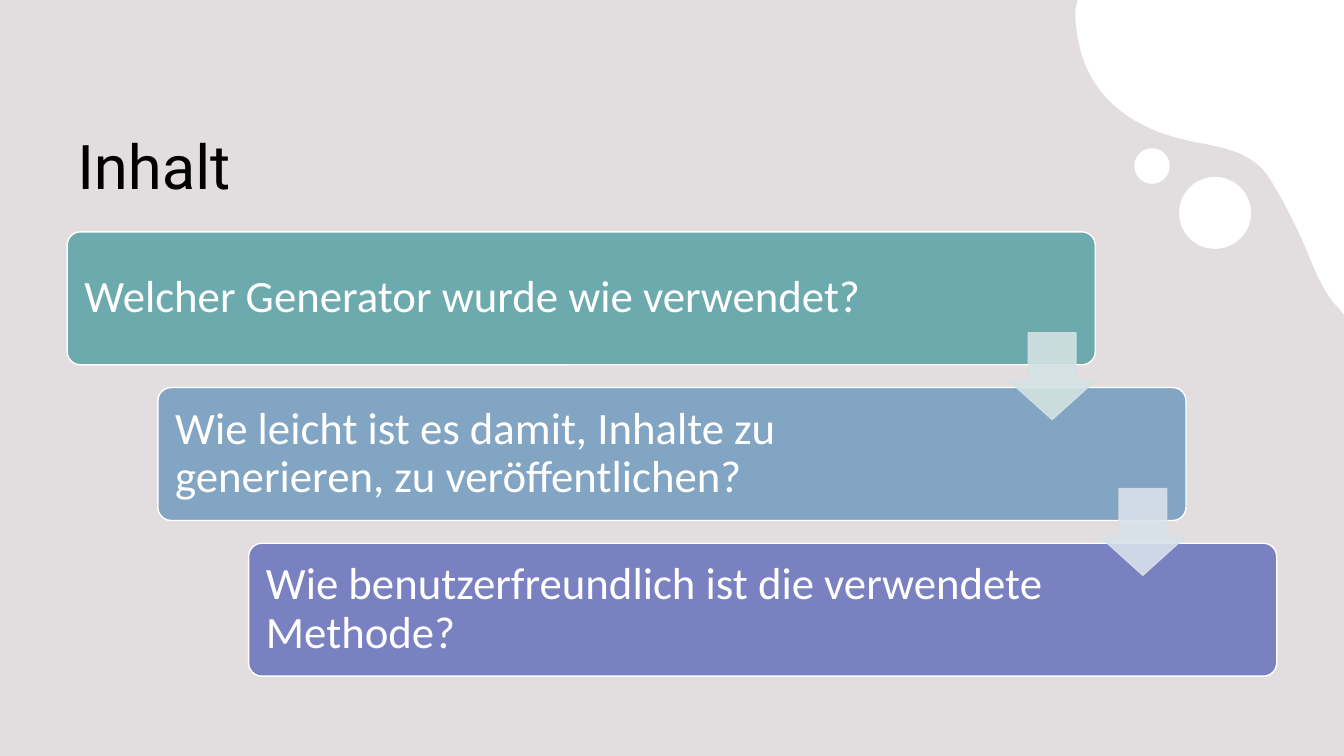
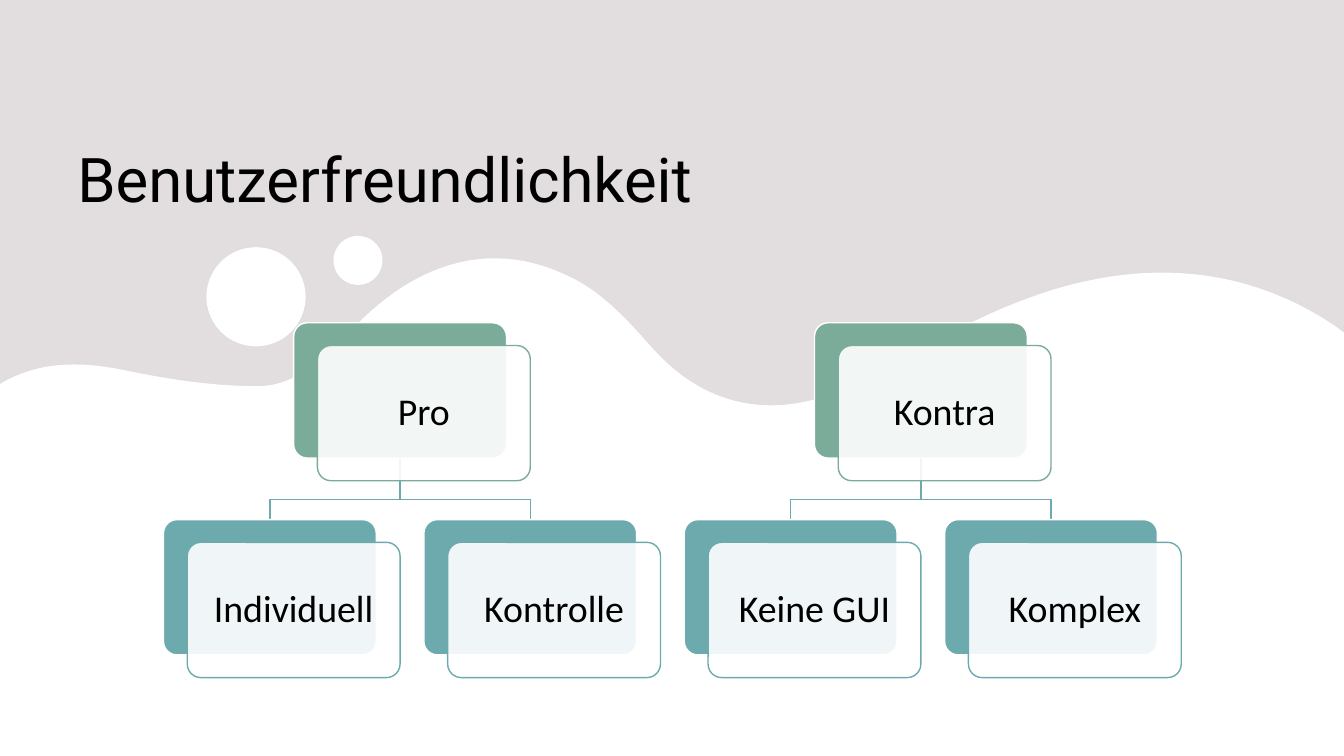
"""Build two slides: a stepped contents list and a pro and contra hierarchy."""
from pptx import Presentation
from pptx import util as u
from pptx.dml import color
from pptx.enum import shapes, text
from pptx.oxml import ns
from lxml import etree

Pt = u.Pt
SHAPE = shapes.MSO_SHAPE
COLORS = {
    "ground": "E2DDDF", "white": "FFFFFF", "black": "000000",
    "teal": "6DAAAE", "blue": "82A5C4", "violet": "7981C0", "green": "7BAC9A",
    "pale_teal": "D4E2E3", "pale_blue": "D8E1EA",
}


def write(tf, value, size, font="Calibri", fill="black", align="LEFT",
          anchor="MIDDLE", insets=(7.2, 3.6, 7.2, 3.6)):
    """Put one formatted paragraph into a text frame."""
    tf.word_wrap = True
    tf.auto_size = text.MSO_AUTO_SIZE.NONE
    tf.vertical_anchor = getattr(text.MSO_ANCHOR, anchor)
    tf.margin_left, tf.margin_top, tf.margin_right, tf.margin_bottom = map(Pt, insets)
    p = tf.paragraphs[0]
    p.alignment = getattr(text.PP_ALIGN, align)
    p.line_spacing = 0.9
    r = p.add_run()
    r.text = value
    r.font.size = Pt(size)
    r.font.name = font
    r.font.color.rgb = color.RGBColor.from_string(COLORS[fill])


def paint(sp, fill=None, line=None, alpha=None, line_alpha=None):
    """Set the fill, line and transparency of a shape and drop its shadow."""
    sp.shadow.inherit = False
    for fmt, name, opacity in ((sp.fill, fill, alpha), (sp.line.fill, line, line_alpha)):
        if name is None:
            fmt.background()
            continue
        fmt.solid()
        fmt.fore_color.rgb = color.RGBColor.from_string(COLORS[name])
        if opacity:
            parent = sp.element.spPr if fmt is sp.fill else sp.element.spPr.find(ns.qn("a:ln"))
            clr = parent.find(ns.qn("a:solidFill"))[0]
            etree.SubElement(clr, ns.qn("a:alpha"), val=str(opacity * 1000))
    if line:
        sp.line.width = Pt(1)


prs = Presentation()
prs.slide_width, prs.slide_height = Pt(960), Pt(540)
ground = prs.slide_master.background.fill
ground.solid()
ground.fore_color.rgb = color.RGBColor.from_string(COLORS["ground"])

corner_wave = [
    (960, 0), (769.7, 0), (768.2, 7.2),
    (768.2, 11.5, 768.2, 16.6, 769, 20.9),
    (774, 65.5, 805, 92.2, 853.9, 101.5),
    (873.4, 105.1, 894.9, 108.7, 906.5, 126.7),
    (918.7, 146.2, 928.8, 167, 937.4, 188.6),
    (941.8, 198.7, 946.1, 208.1, 952.6, 216),
    (960, 224.6),
]
floor_wave = [
    (960, 540), (0, 540), (0, 274.3), (5, 271.4),
    (31.7, 257.8, 59, 258.5, 87.8, 264.2),
    (118.8, 270.7, 151.2, 275.8, 182.9, 275.8),
    (212.4, 276.5, 232.6, 254.2, 252, 234.7),
    (299.5, 185, 354.2, 170.6, 409, 198.7),
    (430.6, 209.5, 448.6, 228.9, 465.1, 247.7),
    (509, 297.4, 563, 298.8, 614.2, 272.9),
    (650.2, 254.9, 684.7, 232.6, 722.9, 217.4),
    (804.2, 184.3, 883.4, 185.8, 953.3, 232.6),
    (960, 237.6),
]
pages = [
    ("Inhalt", 104.4, corner_wave, [(867.9, 152.1, 25.7), (822.9, 118.6, 12.7)]),
    ("Benutzerfreundlichkeit", 113.8, floor_wave, [(182.9, 212, 35.4), (255.7, 186, 17.5)]),
]
for title, title_height, wave, bubbles in pages:
    s = prs.slides.add_slide(prs.slide_layouts[5])
    sp = s.shapes.title
    sp.left, sp.top, sp.width, sp.height = Pt(48), Pt(44), Pt(864), Pt(title_height)
    write(sp.text_frame, title, 44, font="Roboto", anchor="BOTTOM")

    points = [wave[0]]
    for segment in wave[1:]:
        if len(segment) == 2:
            points.append(segment)
            continue
        x0, y0 = points[-1]
        x1, y1, x2, y2, x3, y3 = segment
        for step in range(1, 25):
            t = step / 24
            a, b, c, d = (1 - t) ** 3, 3 * t * (1 - t) ** 2, 3 * t * t * (1 - t), t ** 3
            points.append((a * x0 + b * x1 + c * x2 + d * x3,
                           a * y0 + b * y1 + c * y2 + d * y3))
    points = [(Pt(x), Pt(y)) for x, y in points]
    outline = s.shapes.build_freeform(*points[0], scale=1.0)
    outline.add_line_segments(points[1:], close=True)
    paint(outline.convert_to_shape(), "white")
    for x, y, radius in bubbles:
        sp = s.shapes.add_shape(SHAPE.OVAL, Pt(x - radius), Pt(y - radius),
                                Pt(2 * radius), Pt(2 * radius))
        paint(sp, "white")

contents, hierarchy = prs.slides

step_x, step_y = 64.8, 111.2
questions = [
    ("Welcher Generator wurde wie verwendet?", "teal"),
    ("Wie leicht ist es damit, Inhalte zu generieren, zu veröffentlichen?", "blue"),
    ("Wie benutzerfreundlich ist die verwendete Methode?", "violet"),
]
for i, (question, fill) in enumerate(questions):
    sp = contents.shapes.add_shape(SHAPE.ROUNDED_RECTANGLE, Pt(48 + i * step_x),
                                   Pt(165.6 + i * step_y), Pt(734.4), Pt(95))
    sp.adjustments[0] = 0.1
    paint(sp, fill, "white")
    write(sp.text_frame, question, 32, fill="white", insets=(9.6, 9.6, 136, 9.6))
for i, fill in enumerate(("pale_teal", "pale_blue")):
    sp = contents.shapes.add_shape(SHAPE.DOWN_ARROW, Pt(720.6 + i * step_x),
                                   Pt(237.8 + i * step_y), Pt(61.9), Pt(61.9))
    sp.adjustments[0], sp.adjustments[1] = 0.55, 0.45
    paint(sp, fill, fill, alpha=90, line_alpha=90)

card_w, card_h, pitch = 152, 96.6, 186
leaf_left, parent_top, leaf_top = 116.8, 230.6, 371.2
groups = [("Pro", ["Individuell", "Kontrolle"]), ("Kontra", ["Keine GUI", "Komplex"])]
cards, branches = [], []
for i, (parent, leaves) in enumerate(groups):
    first = leaf_left + 2 * i * pitch
    parent_left = first + pitch / 2
    cards.append((parent, parent_left, parent_top, "green"))
    for j, leaf in enumerate(leaves):
        left = first + j * pitch
        cards.append((leaf, left, leaf_top, "teal"))
        branches.append((parent_left + card_w / 2, left + card_w / 2))

bend = 357
for start, end in branches:
    points = [(start, parent_top + card_h), (start, bend), (end, bend), (end, leaf_top)]
    points = [(Pt(x), Pt(y)) for x, y in points]
    branch = hierarchy.shapes.build_freeform(*points[0], scale=1.0)
    branch.add_line_segments(points[1:], close=False)
    paint(branch.convert_to_shape(), line="teal")

for label, left, top, accent in cards:
    for shift_x, shift_y, fill, line, alpha in ((0, 0, accent, "white", None),
                                                (17, 16.2, "white", accent, 90)):
        sp = hierarchy.shapes.add_shape(SHAPE.ROUNDED_RECTANGLE, Pt(left + shift_x),
                                        Pt(top + shift_y), Pt(card_w), Pt(card_h))
        sp.adjustments[0] = 0.1
        paint(sp, fill, line, alpha=alpha)
    write(sp.text_frame, label, 27, align="CENTER", insets=(8, 8, 8, 8))

prs.save("out.pptx")
